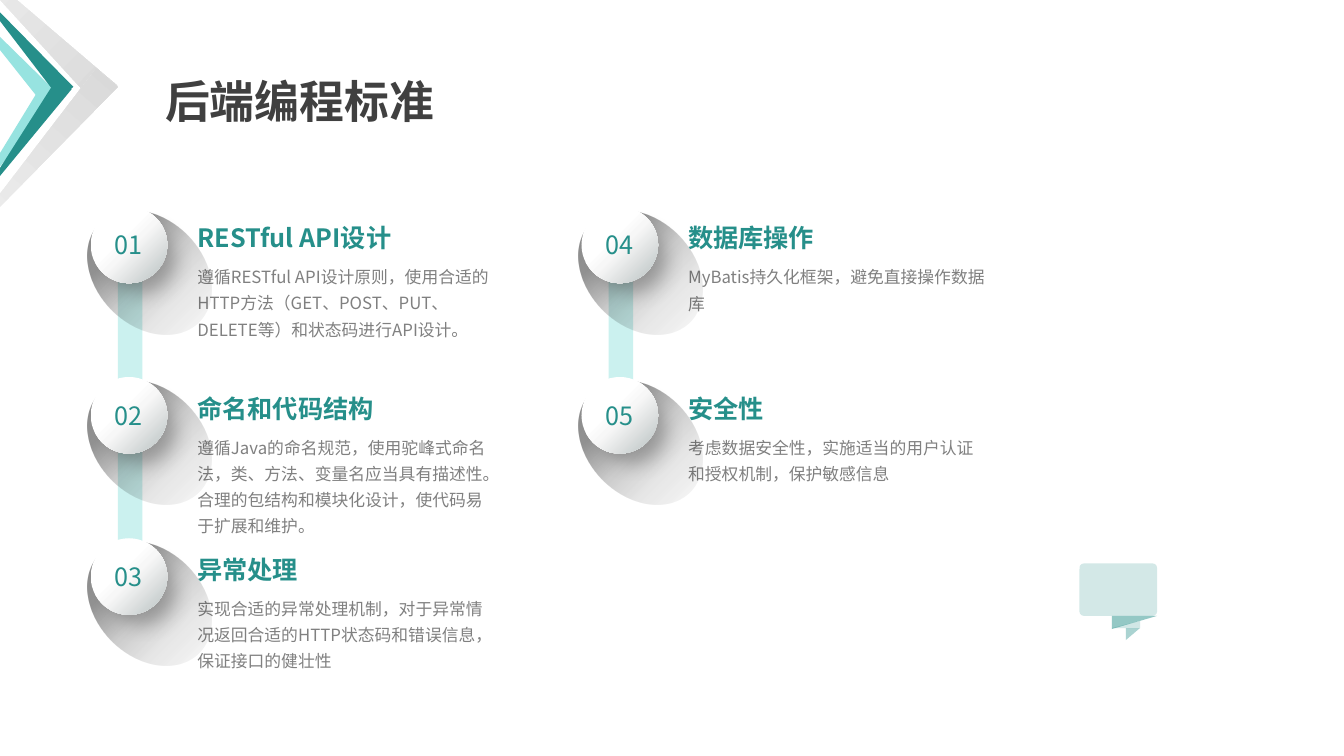
from lxml import etree
from pptx import Presentation
from pptx.dml.color import RGBColor
from pptx.enum.shapes import MSO_SHAPE
from pptx.enum.text import MSO_ANCHOR, MSO_AUTO_SIZE, PP_ALIGN
from pptx.oxml.ns import qn
from pptx.util import Pt

OVAL = MSO_SHAPE.OVAL
ROUNDED = MSO_SHAPE.ROUNDED_RECTANGLE
TRIANGLE = MSO_SHAPE.ISOSCELES_TRIANGLE
MIDDLE = MSO_ANCHOR.MIDDLE
GROW = MSO_AUTO_SIZE.SHAPE_TO_FIT_TEXT
LEFT, CENTER, JUSTIFY = PP_ALIGN.LEFT, PP_ALIGN.CENTER, PP_ALIGN.JUSTIFY

TEAL = RGBColor(0x26, 0x8F, 0x8A)
AQUA = RGBColor(0x97, 0xE3, 0xE0)
PALE = RGBColor(0xCB, 0xF1, 0xEF)
DARK = RGBColor(0x40, 0x40, 0x40)
GREY = RGBColor(0x80, 0x80, 0x80)
SHADOW = RGBColor(0x49, 0x49, 0x49)
BLACK = RGBColor(0x00, 0x00, 0x00)
WHITE = RGBColor(0xFF, 0xFF, 0xFF)
OFF_WHITE = RGBColor(0xF7, 0xF7, 0xF7)
STEEL = RGBColor(0xB8, 0xC0, 0xC0)
MIST = RGBColor(0xF2, 0xF2, 0xF2)
SILVER = RGBColor(0xD9, 0xD9, 0xD9)

# Gradients: (position %, colour, opacity %)
SHADE_STOPS = [(0, BLACK, 100), (17, BLACK, 46), (34, BLACK, 43), (51, BLACK, 20),
               (65, BLACK, 10), (78, BLACK, 5), (100, BLACK, 0)]
RIM_STOPS = [(0, WHITE, 100), (43, OFF_WHITE, 100), (100, STEEL, 100)]
FACE_STOPS = [(11, WHITE, 100), (39, WHITE, 100), (53, OFF_WHITE, 100), (100, STEEL, 100)]
BLADE_STOPS = [(0, MIST, 100), (100, SILVER, 100)]

COLUMNS = [64.8, 415.4]
ROWS = [147.6, 269.3, 384.5]
BAR_HEIGHTS = [259.2, 157.7]
BADGE = 54.7

# Column, row, heading, body paragraphs, body height
TOPICS = [
    (0, 0, "RESTful API设计",
     ["遵循RESTful API设计原则，使用合适的HTTP方法（GET、POST、PUT、DELETE等）和状态码进行API设计。"], 64),
    (0, 1, "命名和代码结构",
     ["遵循Java的命名规范，使用驼峰式命名法，类、方法、变量名应当具有描述性。",
      "合理的包结构和模块化设计，使代码易于扩展和维护。"], 82.8),
    (0, 2, "异常处理",
     ["实现合适的异常处理机制，对于异常情况返回合适的HTTP状态码和错误信息，保证接口的健壮性"], 64),
    (1, 0, "数据库操作", ["MyBatis持久化框架，避免直接操作数据库"], 44.6),
    (1, 1, "安全性", ["考虑数据安全性，实施适当的用户认证和授权机制，保护敏感信息"], 44.6),
]

# Left, top, width, height, rotation, fill
BLADES = [
    (-5, -20.2, 13, 105.1, 318, AQUA),
    (-1.4, 54.7, 13, 105.1, 215, AQUA),
    (6.5, -25.9, 13, 105.1, 319, TEAL),
    (8.6, 49.7, 13, 105.1, 216, TEAL),
    (7.2, -71.3, 20.2, 164.9, 314, BLADE_STOPS),
    (12.2, 35.3, 20.2, 164.9, 221, BLADE_STOPS),
]

# Corner points and opacity
BUBBLE_TAILS = [
    ([(794.2, 449.3), (826.6, 439.9), (794.2, 439.9)], 49),
    ([(814.3, 448.6), (794.2, 448.6), (814.3, 443.5)], 21),
    ([(804.2, 457.2), (814.3, 448.6), (804.2, 448.6)], 39),
]


class SlideBuilder:
    font = "Noto Sans CJK JP"

    def __init__(self, slide):
        self.slide = slide

    def set_opacity(self, color_element, opacity):
        if opacity < 100:
            etree.SubElement(color_element, qn("a:alpha"), val=str(opacity * 1000))

    def paint(self, shape, fill, angle=90, opacity=100):
        shape.shadow.inherit = False
        shape.line.fill.background()
        if not isinstance(fill, list):
            shape.fill.solid()
            shape.fill.fore_color.rgb = fill
            self.set_opacity(shape._element.spPr.find(".//" + qn("a:srgbClr")), opacity)
            return
        shape.fill.gradient()
        shape.fill.gradient_angle = 360 - angle
        stops = shape._element.spPr.find(".//" + qn("a:gsLst"))
        for stop in list(stops):
            stops.remove(stop)
        for position, color, stop_opacity in fill:
            stop = etree.SubElement(stops, qn("a:gs"), pos=str(position * 1000))
            self.set_opacity(etree.SubElement(stop, qn("a:srgbClr"), val=str(color)), stop_opacity)

    def shape(self, kind, left, top, width, height, fill, angle=90, rotation=0, opacity=100):
        shape = self.slide.shapes.add_shape(kind, Pt(left), Pt(top), Pt(width), Pt(height))
        shape.rotation = rotation
        self.paint(shape, fill, angle, opacity)
        return shape

    def polygon(self, points, fill, opacity):
        corners = [(Pt(x), Pt(y)) for x, y in points]
        builder = self.slide.shapes.build_freeform(*corners[0])
        builder.add_line_segments(corners[1:], close=True)
        self.paint(builder.convert_to_shape(), fill, opacity=opacity)

    def drop_shadow(self, shape, color, opacity, blur, distance, angle):
        effects = shape._element.spPr.find(qn("a:effectLst"))
        shadow = etree.SubElement(effects, qn("a:outerShdw"), blurRad=str(Pt(blur)),
                                  dist=str(Pt(distance)), dir=str(angle * 60000),
                                  algn="tl", rotWithShape="0")
        self.set_opacity(etree.SubElement(shadow, qn("a:srgbClr"), val=str(color)), opacity)

    def fill_frame(self, frame, texts, size, color, bold=False, align=LEFT, spacing=1.0):
        for index, text in enumerate(texts):
            paragraph = frame.add_paragraph() if index else frame.paragraphs[0]
            paragraph.alignment = align
            paragraph.line_spacing = spacing
            run = paragraph.add_run()
            run.text = text
            run.font.size = Pt(size)
            run.font.bold = bold
            run.font.color.rgb = color
            run.font.name = self.font
            etree.SubElement(run._r.get_or_add_rPr(), qn("a:ea"), typeface=self.font)

    def text(self, left, top, width, height, texts, size, color, **style):
        box = self.slide.shapes.add_textbox(Pt(left), Pt(top), Pt(width), Pt(height))
        box.text_frame.word_wrap = True
        box.text_frame.auto_size = GROW
        self.fill_frame(box.text_frame, texts, size, color, **style)

    def badge(self, left, top, label):
        self.shape(OVAL, left + 4.3, top - 2.9, 75.6, 99.4, SHADE_STOPS, rotation=315)
        rim = self.shape(OVAL, left + 6.5, top + 7.9, 46.1, 46.1, RIM_STOPS, angle=45)
        self.drop_shadow(rim, SHADOW, 40, 14, 11, 45)
        face = self.shape(OVAL, left, top, BADGE, BADGE, FACE_STOPS, angle=45)
        frame = face.text_frame
        frame.word_wrap = False
        frame.vertical_anchor = MIDDLE
        self.fill_frame(frame, [label], 18, TEAL, align=CENTER)

    def topic(self, left, top, label, heading, body, body_height):
        text_left = left + 69.1
        self.text(text_left, top + 35.3, 226.1, body_height, body, 12, GREY, spacing=1.3)
        self.text(text_left, top + 3.6, 192.2, 33.1, [heading], 18, TEAL, bold=True, spacing=1.2)
        self.badge(left, top, label)


def main():
    presentation = Presentation()
    presentation.slide_width = Pt(960)
    presentation.slide_height = Pt(540)
    builder = SlideBuilder(presentation.slides.add_slide(presentation.slide_layouts[6]))

    # Bars that join the badges
    for left, height in zip(COLUMNS, BAR_HEIGHTS):
        builder.shape(ROUNDED, left + 19.4, ROWS[0] + 18, 17.5, height, PALE)

    # Numbered topics
    for number, (column, row, heading, body, height) in enumerate(TOPICS, 1):
        builder.topic(COLUMNS[column], ROWS[row], f"{number:02}", heading, body, height)

    # Speech bubble
    bubble = builder.shape(ROUNDED, 771.1, 402.5, 55.4, 37.4, TEAL, opacity=20)
    bubble.adjustments[0] = 0.08
    for points, opacity in BUBBLE_TAILS:
        builder.polygon(points, TEAL, opacity)

    # Title and corner chevrons
    builder.text(110.9, 37.4, 226.8, 57.6, ["后端编程标准"], 32, DARK,
                 bold=True, align=JUSTIFY, spacing=1.3)
    for left, top, width, height, rotation, fill in BLADES:
        builder.shape(TRIANGLE, left, top, width, height, fill, rotation=rotation)

    presentation.save("out.pptx")


if __name__ == "__main__":
    main()
